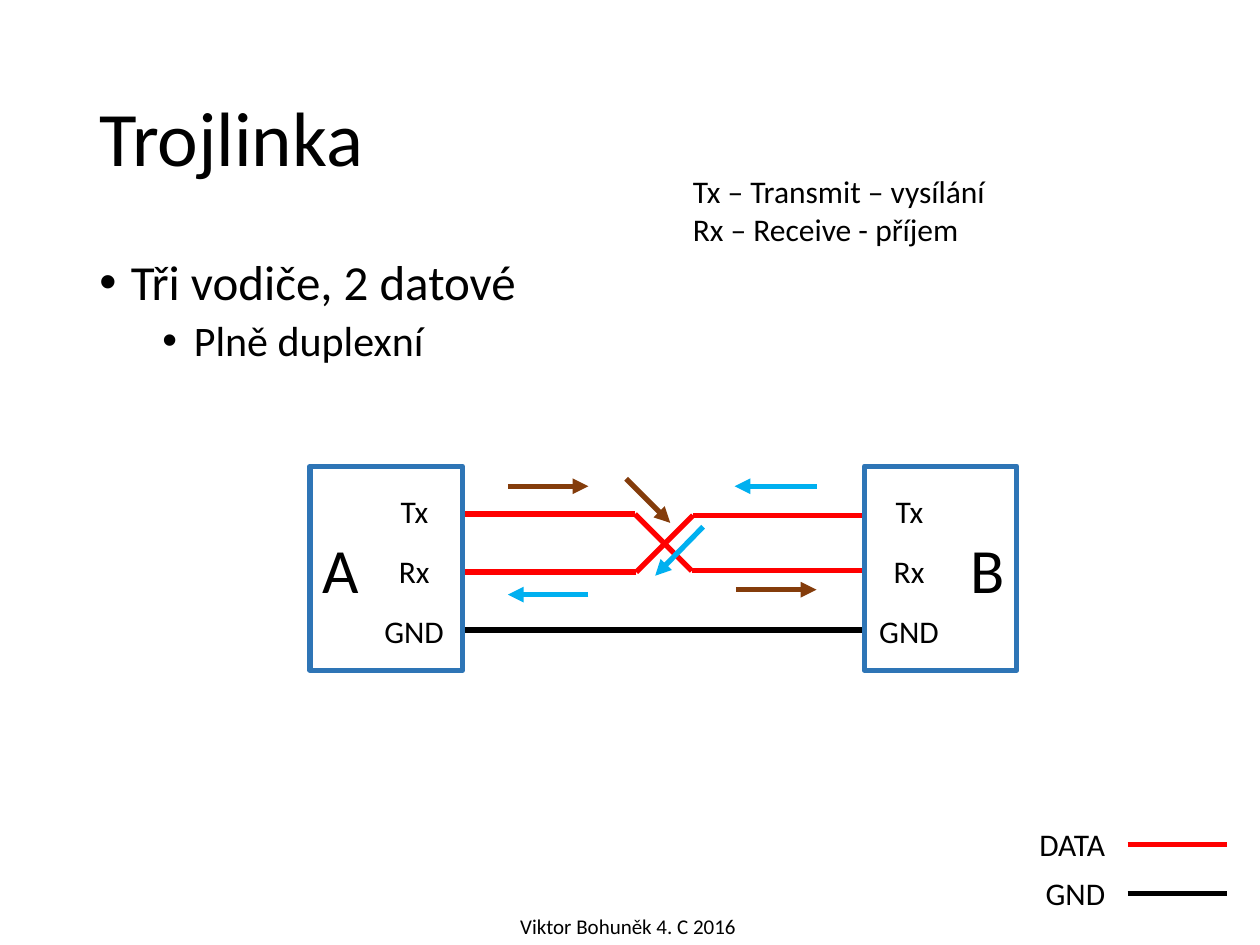
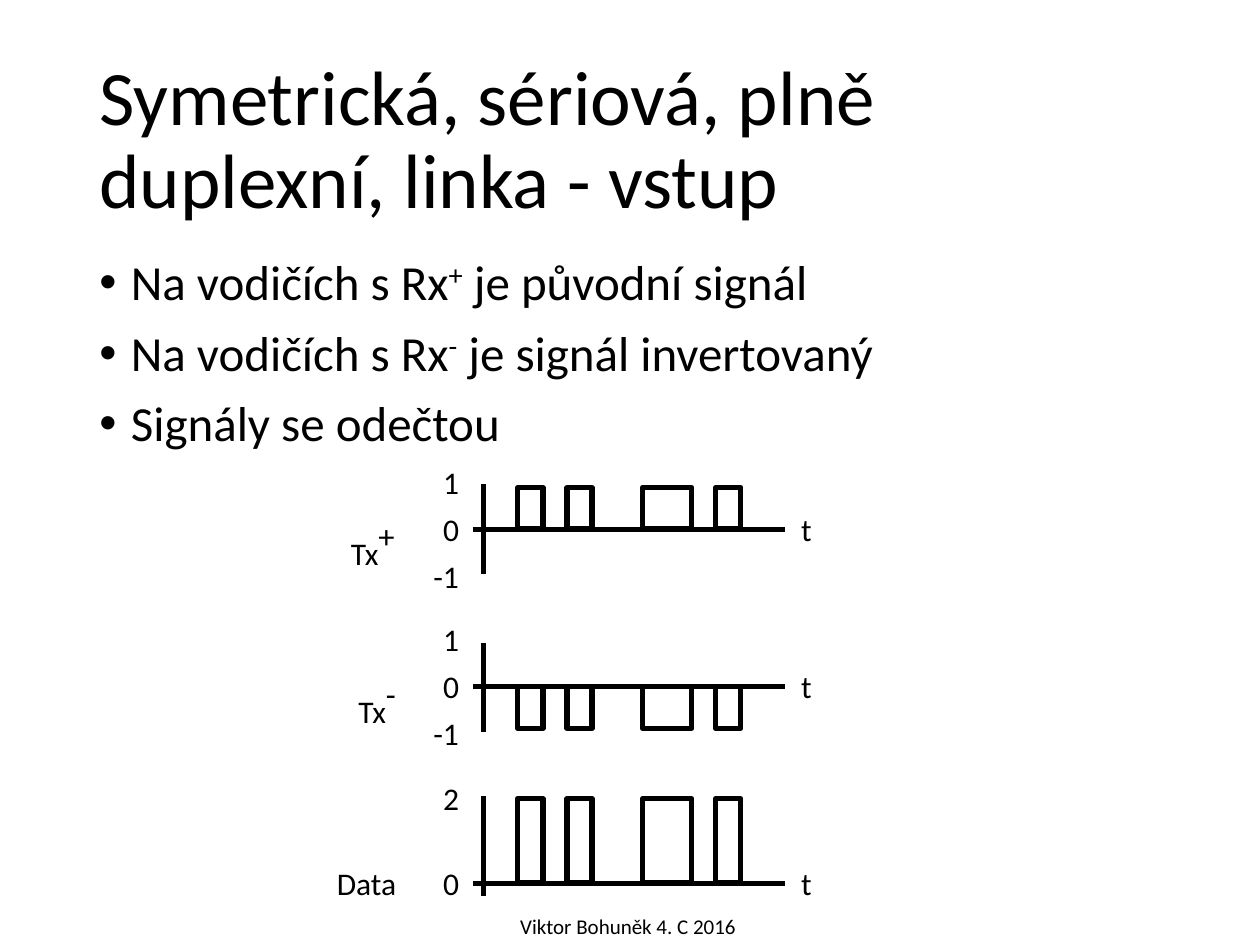
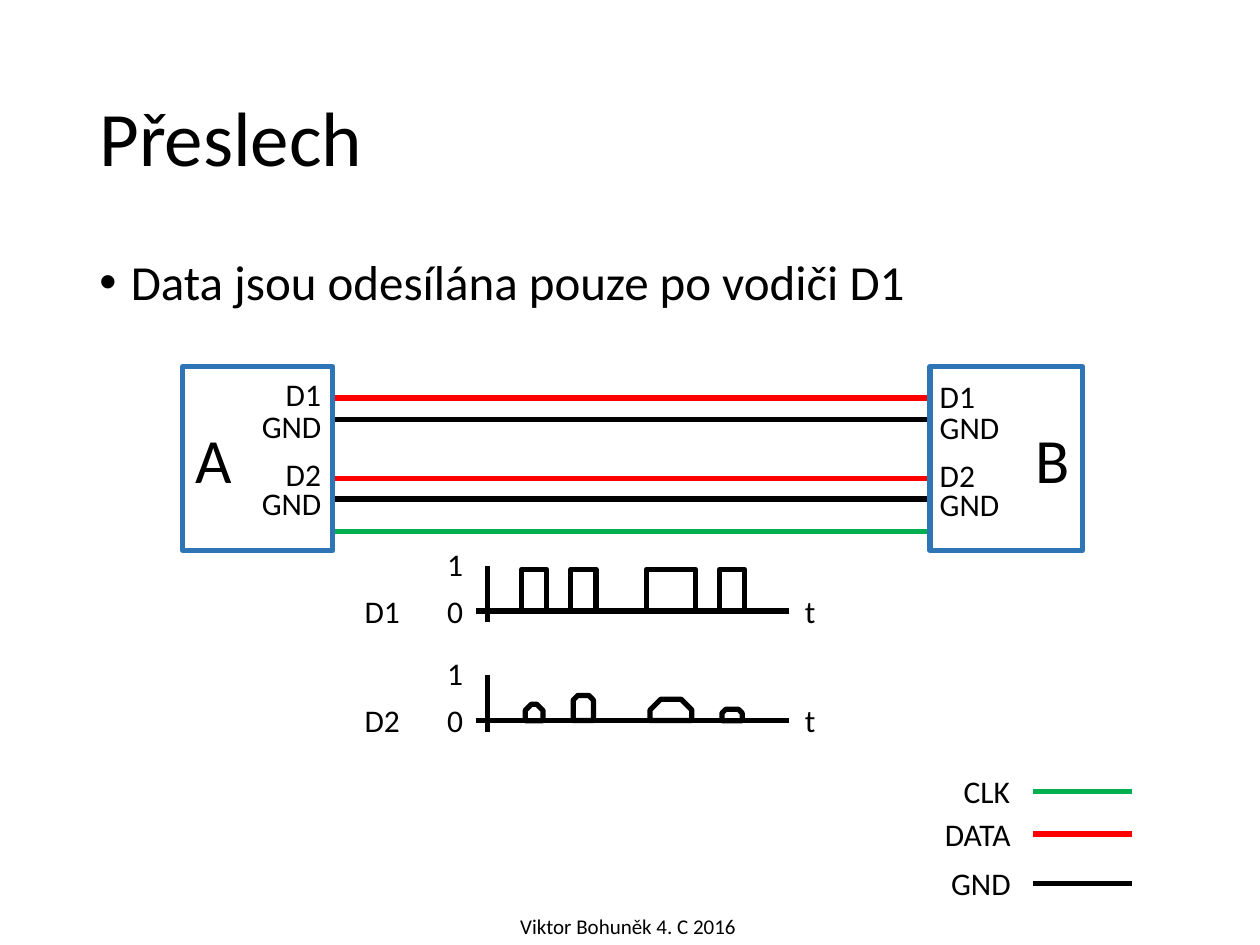
"""Builds three slides on serial links: three-wire link, symmetric input and crosstalk."""
from dataclasses import dataclass
from itertools import pairwise

from lxml.etree import SubElement
from pptx import Presentation
from pptx.dml.color import RGBColor
from pptx.enum.shapes import MSO_CONNECTOR as Connector, MSO_SHAPE as Preset
from pptx.enum.text import MSO_ANCHOR as Anchor, MSO_AUTO_SIZE as AutoSize, PP_ALIGN as Align
from pptx.oxml.ns import qn
from pptx.shapes.autoshape import Shape
from pptx.slide import Slide
from pptx.text.text import TextFrame
from pptx.util import Pt

FONT = "Calibri"
BLACK, WHITE, RED, GREEN = "000000", "FFFFFF", "FF0000", "00B050"
DEVICE_BLUE, SKY, BROWN = "2E75B6", "00B0F0", "843C0B"
STROKE = 3
LABEL_SIZE, LABEL_HEIGHT, LABEL_RISE = 18, 28.8, 14.6
LABEL_WIDTHS = {
    "DATA": 52.6, "GND": 49, "CLK": 41.8, "Data": 49, "Tx": 30.2, "Rx": 32.4,
    "D1": 35.3, "D2": 35.3, "Tx+": 41, "Tx-": 36.7, "-1": 29.5,
    "0": 23.8, "1": 23.8, "2": 23.8, "t": 20.9,
}
LEVEL_HEIGHTS = {"-1": -26.8, "0": 0, "1": 26.8, "2": 48.7}
TITLE_BOX = (49.7, 28.8, 620.6, 104.4)


@dataclass(frozen=True)
class Run:
    text: str
    superscript: bool = False
    size: float | None = None


@dataclass(frozen=True)
class Bullet:
    runs: tuple[Run, ...]
    level: int = 0


@dataclass(frozen=True)
class Device:
    name: str
    left: float
    top: float
    width: float
    height: float
    align: Align


@dataclass(frozen=True)
class Arrow:
    color: str
    start: tuple[float, float]
    end: tuple[float, float]


@dataclass(frozen=True)
class Pulse:
    offset: float
    width: float
    height: float
    snip: float = 0


@dataclass(frozen=True)
class Plot:
    name: tuple[Run, ...]
    left: float
    baseline: float
    rise: float
    drop: float
    levels: tuple[str, ...]
    pulses: list[Pulse]


def rgb(color: str) -> RGBColor:
    """Turn a hex string into a colour."""
    return RGBColor.from_string(color)


def add_runs(paragraph, runs: tuple[Run, ...], size: float) -> None:
    """Append runs in the common font."""
    for item in runs:
        run = paragraph.add_run()
        run.text = item.text
        run.font.name = FONT
        run.font.size = Pt(item.size or size)
        run.font.color.rgb = rgb(BLACK)
        if item.superscript:
            run.font._element.set("baseline", "30000")


def add_text_frame(slide: Slide, left: float, top: float, width: float, height: float,
                   wrap: bool = True) -> TextFrame:
    """Add a text box and return its frame."""
    box = slide.shapes.add_textbox(Pt(left), Pt(top), Pt(width), Pt(height))
    box.text_frame.word_wrap = wrap
    return box.text_frame


def add_label(slide: Slide, runs: tuple[Run, ...], x: float, top: float, pivot: float = 0) -> None:
    """Add a one-line label; pivot 0, 0.5 or 1 puts its left, centre or right at x."""
    width = LABEL_WIDTHS["".join(run.text for run in runs)]
    frame = add_text_frame(slide, x - pivot * width, top, width, LABEL_HEIGHT, wrap=False)
    frame.auto_size = AutoSize.SHAPE_TO_FIT_TEXT
    add_runs(frame.paragraphs[0], runs, LABEL_SIZE)


def add_line(slide: Slide, start: tuple[float, float], end: tuple[float, float],
             color: str = BLACK, arrow: bool = False) -> None:
    """Add a straight line, with an arrowhead at its end if asked."""
    line = slide.shapes.add_connector(Connector.STRAIGHT, *map(Pt, (*start, *end)))
    line.line.color.rgb = rgb(color)
    line.line.width = Pt(STROKE)
    if arrow:
        SubElement(line.line._get_or_add_ln(), qn("a:tailEnd"), type="triangle")
    SubElement(line._element.spPr, qn("a:effectLst"))


def add_box(slide: Slide, preset: Preset, left: float, top: float, width: float, height: float,
            color: str) -> Shape:
    """Add a white preset shape with a coloured outline."""
    shape = slide.shapes.add_shape(preset, Pt(left), Pt(top), Pt(width), Pt(height))
    shape.shadow.inherit = False
    shape.fill.solid()
    shape.fill.fore_color.rgb = rgb(WHITE)
    shape.line.color.rgb = rgb(color)
    shape.line.width = Pt(STROKE)
    return shape


def add_device(slide: Slide, device: Device) -> None:
    """Add a named end of the link."""
    shape = add_box(slide, Preset.RECTANGLE, device.left, device.top, device.width, device.height,
                    DEVICE_BLUE)
    shape.text_frame.vertical_anchor = Anchor.MIDDLE
    paragraph = shape.text_frame.paragraphs[0]
    paragraph.alignment = device.align
    add_runs(paragraph, (Run(device.name),), 36)


def add_legend(slide: Slide, left: float, entries: list[tuple[str, str, float]]) -> None:
    """Add wire samples, each with its name on the left."""
    for name, color, y in entries:
        add_line(slide, (left, y), (left + 56.5, y), color)
        add_label(slide, (Run(name),), left - 5, y - LABEL_RISE, pivot=1)


def add_plot(slide: Slide, plot: Plot) -> None:
    """Add a signal over time with its axes and labels."""
    for pulse in plot.pulses:
        preset = Preset.SNIP_2_SAME_RECTANGLE if pulse.snip else Preset.RECTANGLE
        shape = add_box(slide, preset, plot.left + pulse.offset,
                        plot.baseline - max(pulse.height, 0), pulse.width, abs(pulse.height), BLACK)
        if pulse.snip:
            shape.adjustments[0] = pulse.snip
    add_line(slide, (plot.left, plot.baseline), (plot.left + 178.6, plot.baseline))
    axis = plot.left + 6.2
    add_line(slide, (axis, plot.baseline + plot.drop), (axis, plot.baseline - plot.rise))
    top = plot.baseline - LABEL_RISE
    add_label(slide, (Run("t"),), plot.left + 180.7, top)
    for level in plot.levels:
        add_label(slide, (Run(level),), plot.left, top - LEVEL_HEIGHTS[level], pivot=1)
    add_label(slide, plot.name, plot.left - 35.6, top, pivot=1)


def square_pulses(height: float) -> list[Pulse]:
    """Give the transmitted bits at one height; a negative height points down."""
    return [Pulse(offset, width, height)
            for offset, width in ((25.9, 14.4), (54, 14.4), (97.2, 28.1), (139, 14.4))]


def add_slide(presentation, title: str, bullets: list[Bullet], body_height: float) -> Slide:
    """Add a slide with title, bullets and footer."""
    slide = presentation.slides.add_slide(presentation.slide_layouts[6])
    frame = add_text_frame(slide, *TITLE_BOX)
    frame.vertical_anchor = Anchor.MIDDLE
    frame.paragraphs[0].line_spacing = 0.9
    add_runs(frame.paragraphs[0], (Run(title),), 44)

    frame = add_text_frame(slide, TITLE_BOX[0], 144, TITLE_BOX[2], body_height)
    for index, bullet in enumerate(bullets):
        paragraph = frame.add_paragraph() if index else frame.paragraphs[0]
        paragraph.level = bullet.level
        paragraph.line_spacing = 0.9
        paragraph.space_before = Pt(5 if bullet.level else 10)
        properties = paragraph._p.get_or_add_pPr()
        properties.set("marL", str(Pt(18 + 36 * bullet.level)))
        properties.set("indent", str(-Pt(18)))
        SubElement(properties, qn("a:buFont"), typeface="Arial")
        SubElement(properties, qn("a:buChar"), char="•")
        add_runs(paragraph, bullet.runs, 24 if bullet.level else 28)

    frame = add_text_frame(slide, 290.2, 518.4, 139, 21.6, wrap=False)
    frame.auto_size = AutoSize.SHAPE_TO_FIT_TEXT
    add_runs(frame.paragraphs[0], (Run("Viktor Bohuněk 4. C 2016"),), 12)
    return slide


def build_three_wire(presentation) -> None:
    """Build the slide on the three-wire link."""
    slide = add_slide(presentation, "Trojlinka", [
        Bullet((Run("Tři vodiče, 2 datové"),)),
        Bullet((Run("Plně duplexní"),), level=1),
    ], 74.9)
    crossed_wires = (
        ((254.2, 293.8), (362.9, 293.8), (395.3, 326.2), (504.7, 326.2)),
        ((504.7, 294.5), (396, 294.5), (363.6, 326.9), (254.2, 326.9)),
    )
    for wire in crossed_wires:
        for start, end in pairwise(wire):
            add_line(slide, start, end, RED)
    add_line(slide, (252, 360), (514.1, 360))
    add_legend(slide, 644.4, [("DATA", RED, 482.4), ("GND", BLACK, 510.5)])
    add_device(slide, Device("A", 177.1, 266.4, 87.1, 116.6, Align.LEFT))
    add_device(slide, Device("B", 493.9, 266.4, 87.1, 116.6, Align.RIGHT))
    for center in (237, 519.8):
        for name, top in (("Tx", 277.9), ("Rx", 311.8), ("GND", 346.3)):
            add_label(slide, (Run(name),), center, top, pivot=0.5)
    arrows = [
        Arrow(BROWN, (290.2, 277.9), (336.2, 277.9)),
        Arrow(BROWN, (420.5, 337), (466.6, 337)),
        Arrow(SKY, (466.6, 277.9), (419.8, 277.9)),
        Arrow(SKY, (336.2, 339.8), (290.2, 339.8)),
        Arrow(SKY, (401.8, 301), (374.4, 329)),
        Arrow(BROWN, (357.8, 273.6), (383, 298.8)),
    ]
    for arrow in arrows:
        add_line(slide, arrow.start, arrow.end, arrow.color, arrow=True)
    frame = add_text_frame(slide, 388.8, 95, 217.4, 51.1)
    add_runs(frame.paragraphs[0], (Run("Tx – Transmit – vysílání"),), LABEL_SIZE)
    add_runs(frame.add_paragraph(), (Run("Rx – Receive - příjem"),), LABEL_SIZE)


def build_symmetric_input(presentation) -> None:
    """Build the slide on the input of the symmetric link."""
    slide = add_slide(presentation, "Symetrická, sériová, plně duplexní, linka - vstup", [
        Bullet((Run("Na vodičích s Rx"), Run("+", True), Run(" je původní signál"))),
        Bullet((Run("Na vodičích s Rx"), Run("-", True), Run(" je signál invertovaný"))),
        Bullet((Run("Signály se odečtou"),)),
    ], 123.1)
    plots = [
        Plot((Run("Tx"), Run("+", True, 32)), 270, 302.4, 25.9, 25.9, ("0", "1", "-1"),
             square_pulses(23.8)),
        Plot((Run("Tx"), Run("-", True, 32)), 270, 392.4, 25.2, 25.9, ("0", "1", "-1"),
             square_pulses(-23.8)),
        Plot((Run("Data"),), 270, 504.7, 49.7, 7.2, ("0", "2"), square_pulses(48.2)),
    ]
    for plot in plots:
        add_plot(slide, plot)


def build_crosstalk(presentation) -> None:
    """Build the slide on crosstalk between two data wires."""
    slide = add_slide(presentation, "Přeslech",
                      [Bullet((Run("Data jsou odesílána pouze po vodiči D1"),))], 50.4)
    wires = ((RED, 227.5), (BLACK, 239.8), (RED, 273.6), (BLACK, 285.1), (GREEN, 303.8))
    for color, y in wires:
        add_line(slide, (183.6, y), (539.3, y), color)
    add_device(slide, Device("A", 104.4, 209.5, 85.7, 105.1, Align.LEFT))
    add_device(slide, Device("B", 531.4, 209.5, 87.1, 105.1, Align.RIGHT))
    for name, top in (("D1", 211), ("GND", 229), ("D2", 256.3), ("GND", 272.9)):
        add_label(slide, (Run(name),), 191.5, top, pivot=1)
        add_label(slide, (Run(name),), 529.9, top + 0.7)
    induced_pulses = [
        Pulse(28, 10.1, 9.4, 0.38), Pulse(55.4, 11.5, 14.4, 0.23),
        Pulse(99.3, 23.8, 12.2, 0.5), Pulse(140.4, 11.5, 6.5, 0.33),
    ]
    for name, baseline, pulses in (("D1", 349.2, square_pulses(23.8)), ("D2", 411.8, induced_pulses)):
        add_plot(slide, Plot((Run(name),), 272.2, baseline, 25.9, 6.5, ("0", "1"), pulses))
    add_legend(slide, 590.4, [("CLK", GREEN, 452.2), ("DATA", RED, 476.6), ("GND", BLACK, 504.7)])


def main() -> None:
    """Build and save the presentation."""
    presentation = Presentation()
    presentation.slide_width = Pt(720)
    presentation.slide_height = Pt(540)
    build_three_wire(presentation)
    build_symmetric_input(presentation)
    build_crosstalk(presentation)
    presentation.save("out.pptx")


main()
